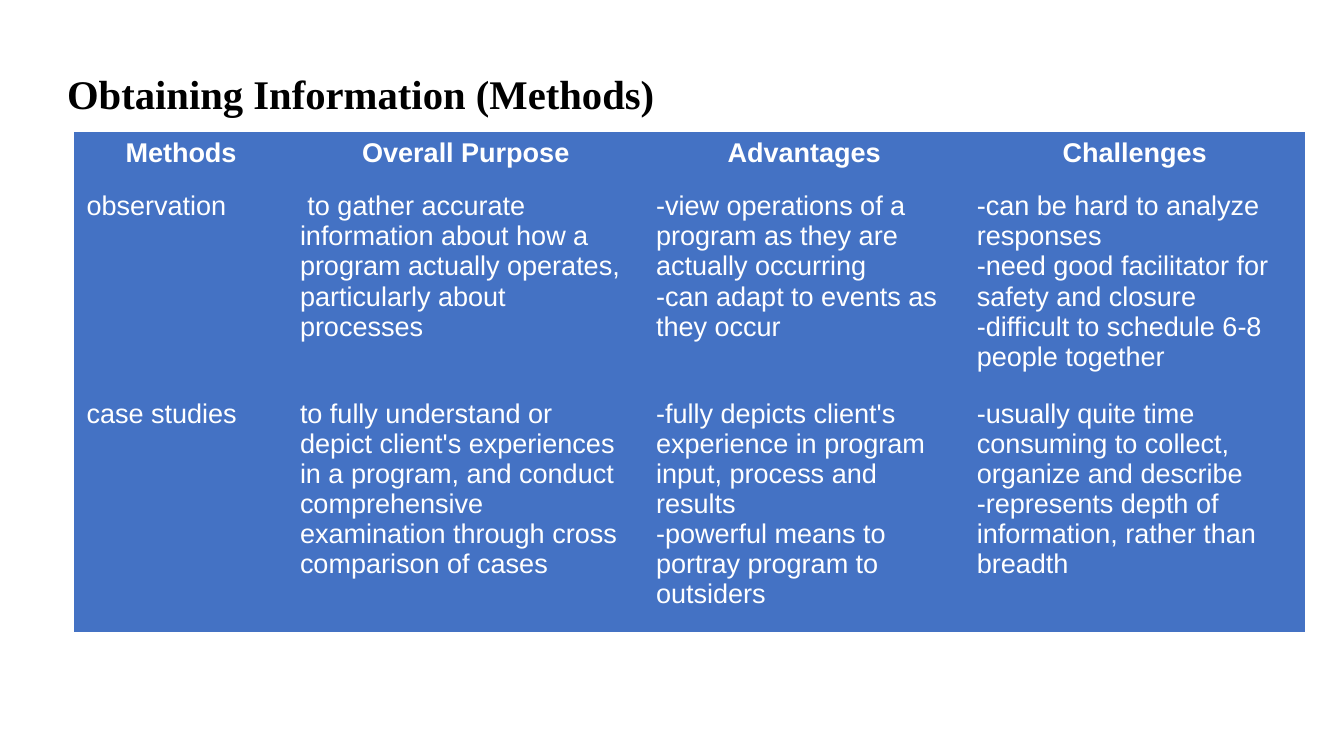
import pptx
import pptx.dml.color
import pptx.enum.text
import pptx.oxml
import pptx.oxml.ns
import pptx.util
from pptx.util import Inches

COLORS = {"title": "000000", "cell": "4472C4", "cell_text": "FFFFFF"}
ALIGN = pptx.enum.text.PP_ALIGN
ANCHOR = pptx.enum.text.MSO_ANCHOR

COLUMN_WIDTHS = [1.75, 2.92, 2.63, 2.79]
ROW_HEIGHTS = [0.44, 1.69, 1.95]
# Each cell is a list of paragraphs.
METHOD_ROWS = [
    [["Methods"], ["Overall Purpose"], ["Advantages"], ["Challenges"]],
    [
        ["observation"],
        [" to gather accurate information about how a program actually operates, "
         "particularly about processes"],
        ["-view operations of a program as they are actually occurring",
         "-can adapt to events as they occur"],
        ["-can be hard to analyze responses",
         "-need good facilitator for safety and closure",
         "-difficult to schedule 6-8 people together"],
    ],
    [
        ["case studies"],
        ["to fully understand or depict client's experiences in a program, and conduct "
         "comprehensive examination through cross comparison of cases"],
        ["-fully depicts client's experience in program input, process and results",
         "-powerful means to portray program to outsiders"],
        ["-usually quite time consuming to collect, organize and describe",
         "-represents depth of information, rather than breadth"],
    ],
]


def write_text(text_frame, lines, *, font, size, color, bold=False,
               align=ALIGN.LEFT, line_spacing=None, space_after=None):
    """Fill a text frame with one formatted paragraph per line."""
    for index, line in enumerate(lines):
        paragraph = text_frame.add_paragraph() if index else text_frame.paragraphs[0]
        paragraph.alignment = align
        paragraph.line_spacing = line_spacing
        paragraph.space_after = space_after
        run = paragraph.add_run()
        run.text = line
        run.font.name = font
        run.font.size = pptx.util.Pt(size)
        run.font.bold = bold
        run.font.color.rgb = pptx.dml.color.RGBColor.from_string(color)


def remove_borders(cell):
    properties = cell._tc.get_or_add_tcPr()
    for side in ("lnL", "lnR", "lnT", "lnB"):
        properties.append(pptx.oxml.parse_xml(
            f'<a:{side} {pptx.oxml.ns.nsdecls("a")} w="0"><a:noFill/></a:{side}>'))


def add_title(slide, left, top, width, height):
    shape = slide.shapes.add_textbox(Inches(left), Inches(top), Inches(width), Inches(height))
    frame = shape.text_frame
    frame.word_wrap = True
    frame.vertical_anchor = ANCHOR.MIDDLE
    frame.margin_left = frame.margin_right = frame.margin_top = frame.margin_bottom = 0
    write_text(frame, ["Obtaining Information (Methods)"], font="Times New Roman", size=24,
               color=COLORS["title"], bold=True, align=ALIGN.JUSTIFY,
               line_spacing=1.15, space_after=pptx.util.Pt(8))


def add_methods_table(slide, left, top):
    table = slide.shapes.add_table(
        len(ROW_HEIGHTS), len(COLUMN_WIDTHS), Inches(left), Inches(top),
        Inches(sum(COLUMN_WIDTHS)), Inches(sum(ROW_HEIGHTS))).table
    table.horz_banding = False
    for column, width in zip(table.columns, COLUMN_WIDTHS):
        column.width = Inches(width)
    for row_index, (row, height, texts) in enumerate(zip(table.rows, ROW_HEIGHTS, METHOD_ROWS)):
        row.height = Inches(height)
        is_header = row_index == 0
        for cell, lines in zip(row.cells, texts):
            remove_borders(cell)
            cell.fill.solid()
            cell.fill.fore_color.rgb = pptx.dml.color.RGBColor.from_string(COLORS["cell"])
            write_text(cell.text_frame, lines, font="Arial", size=16,
                       color=COLORS["cell_text"], bold=is_header,
                       align=ALIGN.CENTER if is_header else ALIGN.LEFT)


def main():
    presentation = pptx.Presentation()
    presentation.slide_width = Inches(11.02)
    presentation.slide_height = Inches(6.2)
    slide = presentation.slides.add_slide(presentation.slide_layouts[6])
    add_title(slide, 0.55, 0.45, 9.29, 0.57)
    add_methods_table(slide, 0.61, 1.08)
    presentation.save("out.pptx")


if __name__ == "__main__":
    main()
